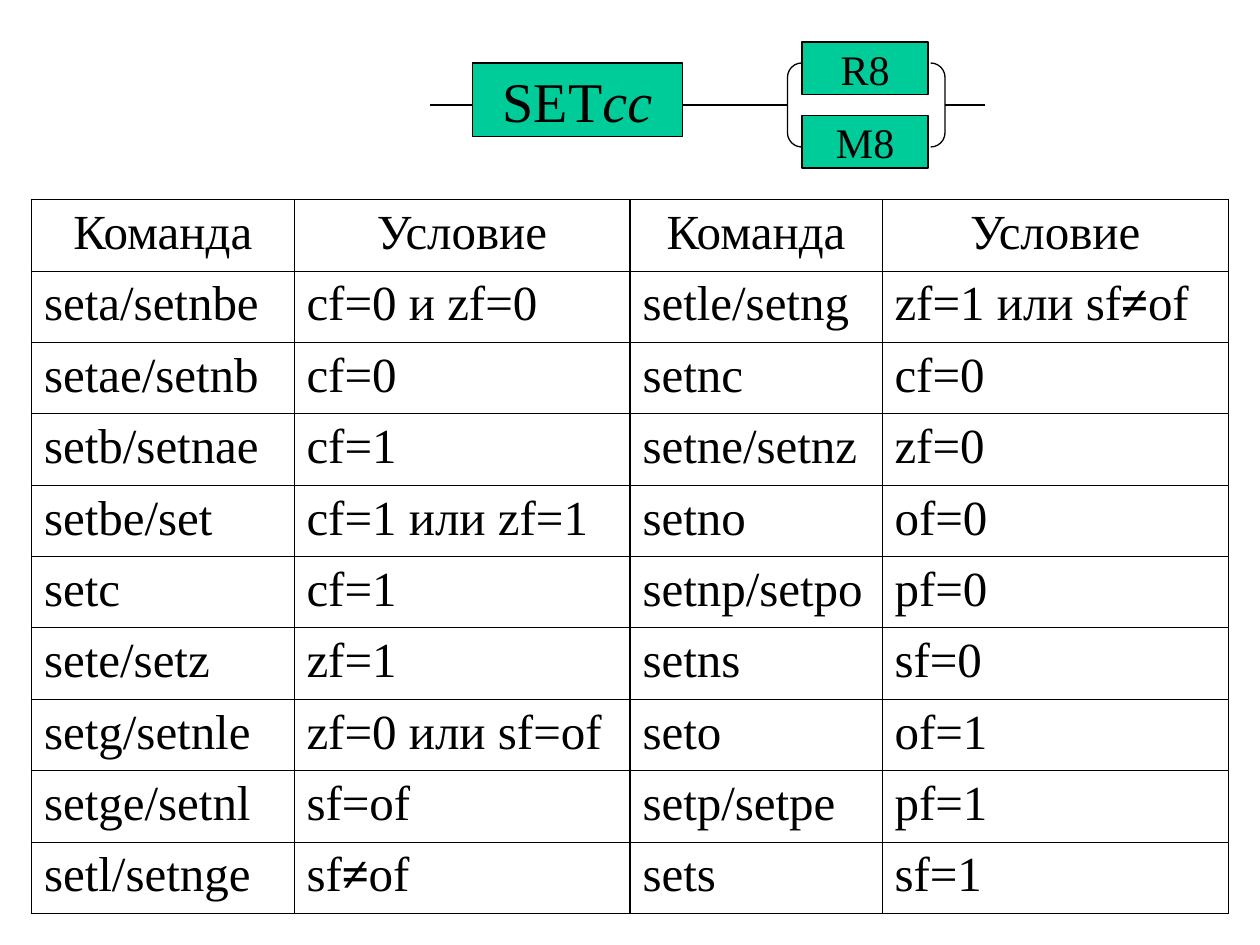
from lxml import etree
from pptx import Presentation
from pptx.dml.color import RGBColor
from pptx.enum.shapes import MSO_CONNECTOR, MSO_SHAPE
from pptx.enum.text import MSO_ANCHOR, PP_ALIGN
from pptx.oxml.ns import qn
from pptx.util import Pt

STRAIGHT = MSO_CONNECTOR.STRAIGHT
RECTANGLE, BRACKETS = MSO_SHAPE.RECTANGLE, MSO_SHAPE.DOUBLE_BRACKET
CENTER, LEFT = PP_ALIGN.CENTER, PP_ALIGN.LEFT
MIDDLE = MSO_ANCHOR.MIDDLE
LEFT_SIDE, RIGHT_SIDE = 1, 3

PX = 7620  # 120 px to the inch

THEME = {
    "font": "Times New Roman",
    "ink": RGBColor(0, 0, 0),
    "box": RGBColor(0x00, 0xCC, 0x99),
    "command_size": Pt(32),
    "operand_size": Pt(24),
    "table_size": Pt(28),
    "line": Pt(0.75),
    "thin": Pt(0.45),
    "thick": Pt(1.08),
}


def add_span(para, text, size, bold=False, italic=False):
    span = para.add_run()
    span.text = text
    span.font.name = THEME["font"]
    span.font.size = size
    span.font.bold = bold
    span.font.italic = italic
    span.font.color.rgb = THEME["ink"]


def add_border(cell, index, side, width):
    border = etree.Element(qn(f"a:{side}"), w=str(width))
    fill = etree.SubElement(border, qn("a:solidFill"))
    etree.SubElement(fill, qn("a:srgbClr"), val=str(THEME["ink"]))
    cell._tc.get_or_add_tcPr().insert(index, border)


deck = Presentation()
deck.slide_width, deck.slide_height = 1200 * PX, 900 * PX
page = deck.slides.add_slide(deck.slide_layouts[6])
shapes = page.shapes

# Table of commands and their conditions
ROWS = [
    ["Команда", "Условие", "Команда", "Условие"],
    ["seta/setnbe", "cf=0 и zf=0", "setle/setng", "zf=1 или sf≠of"],
    ["setae/setnb", "cf=0", "setnc", "cf=0"],
    ["setb/setnae", "cf=1", "setne/setnz", "zf=0"],
    ["setbe/set", "cf=1 или zf=1", "setno", "of=0"],
    ["setc", "cf=1", "setnp/setpo", "pf=0"],
    ["sete/setz", "zf=1", "setns", "sf=0"],
    ["setg/setnle", "zf=0 или sf=of", "seto", "of=1"],
    ["setge/setnl", "sf=of", "setp/setpe", "pf=1"],
    ["setl/setnge", "sf≠of", "sets", "sf=1"],
]
COLUMN_WIDTHS = [250, 320, 240, 330]
ROW_HEIGHT = 68

table = shapes.add_table(
    len(ROWS), len(COLUMN_WIDTHS), 30 * PX, 190 * PX,
    sum(COLUMN_WIDTHS) * PX, len(ROWS) * ROW_HEIGHT * PX).table
table.first_row = table.horz_banding = False
for column, width in zip(table.columns, COLUMN_WIDTHS):
    column.width = width * PX

for r, texts in enumerate(ROWS):
    table.rows[r].height = ROW_HEIGHT * PX
    for c, text in enumerate(texts):
        cell = table.cell(r, c)
        cell.fill.background()
        para = cell.text_frame.paragraphs[0]
        para.alignment = CENTER if r == 0 else LEFT
        for part in text.partition("≠"):
            if part:
                add_span(para, part, THEME["table_size"], bold=part == "≠")

        # Thick lines frame each command and condition pair of columns
        thick_sides = {
            "lnL": c % 2 == 0,
            "lnR": c % 2 == 1,
            "lnT": r == 0,
            "lnB": r == len(ROWS) - 1,
        }
        for index, (side, thick) in enumerate(thick_sides.items()):
            add_border(cell, index, side, THEME["thick" if thick else "thin"])

# Command and operand boxes: left, top, width, height, size, upright, italic
BOXES = [
    (764, 40, 120, 50, THEME["operand_size"], "R8", ""),
    (764, 110, 120, 50, THEME["operand_size"], "M8", ""),
    (450, 60, 200, 70, THEME["command_size"], "SET", "cc"),
]
for left, top, width, height, size, upright, italic in BOXES:
    box = shapes.add_shape(RECTANGLE, left * PX, top * PX, width * PX, height * PX)
    box.shadow.inherit = False
    box.fill.solid()
    box.fill.fore_color.rgb = THEME["box"]
    box.line.color.rgb = THEME["ink"]
    box.line.width = THEME["line"]
    box.text_frame.word_wrap = False
    box.text_frame.vertical_anchor = MIDDLE
    para = box.text_frame.paragraphs[0]
    para.alignment = CENTER
    add_span(para, upright, size)
    if italic:
        add_span(para, italic, size, italic=True)

# Brackets around the operand choice
brackets = shapes.add_shape(BRACKETS, 750 * PX, 60 * PX, 150 * PX, 80 * PX)
brackets.adjustments[0] = 0.17
brackets.shadow.inherit = False
brackets.fill.background()
brackets.line.color.rgb = THEME["ink"]
brackets.line.width = THEME["line"]

# Syntax line running through the boxes
AXIS = 100
wires = []
for start, end in [(650, 750), (410, 450), (900, 938)]:
    wire = shapes.add_connector(STRAIGHT, start * PX, AXIS * PX, end * PX, AXIS * PX)
    wire.line.color.rgb = THEME["ink"]
    wire.line.width = THEME["line"]
    etree.SubElement(wire._element.spPr, qn("a:effectLst"))
    wires.append(wire)
wires[0].end_connect(brackets, LEFT_SIDE)
wires[2].begin_connect(brackets, RIGHT_SIDE)

deck.save("out.pptx")
